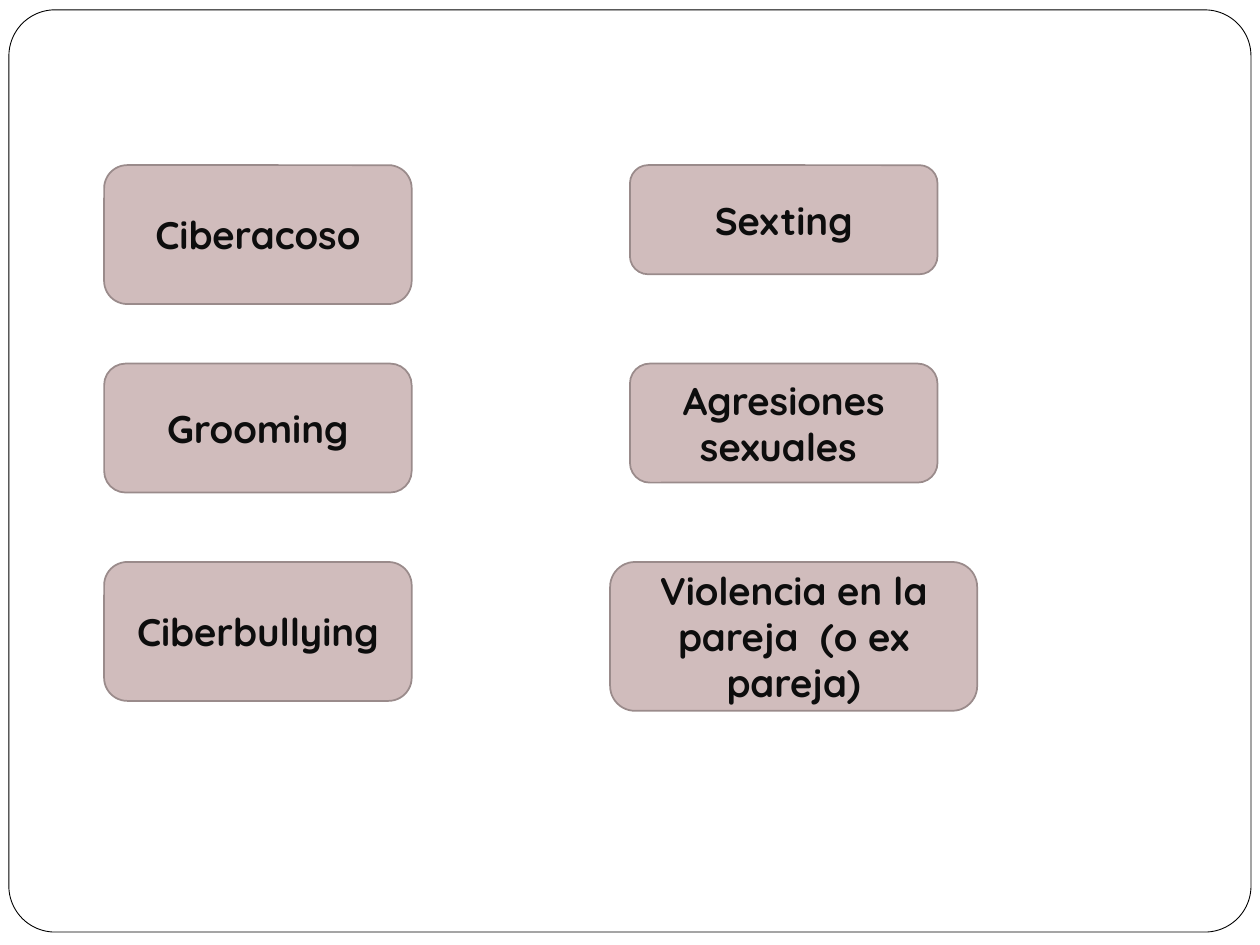
from pptx import Presentation
from pptx.dml.color import RGBColor
from pptx.enum.shapes import MSO_SHAPE as Shape
from pptx.enum.text import MSO_ANCHOR as Anchor, PP_ALIGN as Align
from pptx.util import Cm, Pt

WHITE = RGBColor(0xFF, 0xFF, 0xFF)
BLACK = RGBColor(0x00, 0x00, 0x00)
ROSE = RGBColor(0xD0, 0xBC, 0xBC)
ROSE_EDGE = RGBColor(0x9A, 0x8B, 0x8B)
INK = RGBColor(0x0D, 0x0D, 0x0D)

FONT = "Quicksand"
FIRST_TOP, ROW_STEP = 3.33, 4

# Each row: text, left, width, height (cm)
LEFT_COLUMN = [
    ("Ciberacoso", 2.1, 6.2, 2.8),
    ("Grooming", 2.1, 6.2, 2.6),
    ("Ciberbullying", 2.1, 6.2, 2.8),
]
RIGHT_COLUMN = [
    ("Sexting", 12.7, 6.2, 2.2),
    ("Agresiones sexuales ", 12.7, 6.2, 2.4),
    ("Violencia en la pareja  (o ex pareja)", 12.3, 7.4, 3),
]


def add_rounded_box(slide, left, top, width, height, fill, line, line_width):
    shape = slide.shapes.add_shape(
        Shape.ROUNDED_RECTANGLE, Cm(left), Cm(top), Cm(width), Cm(height))
    shape.shadow.inherit = False
    shape.fill.solid()
    shape.fill.fore_color.rgb = fill
    shape.line.color.rgb = line
    shape.line.width = Pt(line_width)
    return shape


def add_frame(slide):
    frame = add_rounded_box(slide, 0.18, 0.2, 25.04, 18.59, WHITE, BLACK, 0.5)
    frame.adjustments[0] = 0.05


def add_topic(slide, text, left, top, width, height):
    shape = add_rounded_box(slide, left, top, width, height, ROSE, ROSE_EDGE, 1)
    text_frame = shape.text_frame
    text_frame.text = text
    text_frame.word_wrap = True
    text_frame.vertical_anchor = Anchor.MIDDLE
    paragraph = text_frame.paragraphs[0]
    paragraph.alignment = Align.CENTER
    font = paragraph.runs[0].font
    font.name = FONT
    font.size = Pt(22)
    font.bold = True
    font.color.rgb = INK


def main():
    presentation = Presentation()
    presentation.slide_width = Cm(25.4)
    presentation.slide_height = Cm(19.05)
    slide = presentation.slides.add_slide(presentation.slide_layouts[6])

    # Border around the slide
    add_frame(slide)

    # Two columns of topics on shared row tops
    for column in (LEFT_COLUMN, RIGHT_COLUMN):
        for row, (text, left, width, height) in enumerate(column):
            add_topic(slide, text, left, FIRST_TOP + row * ROW_STEP, width, height)

    presentation.save("out.pptx")


if __name__ == "__main__":
    main()
